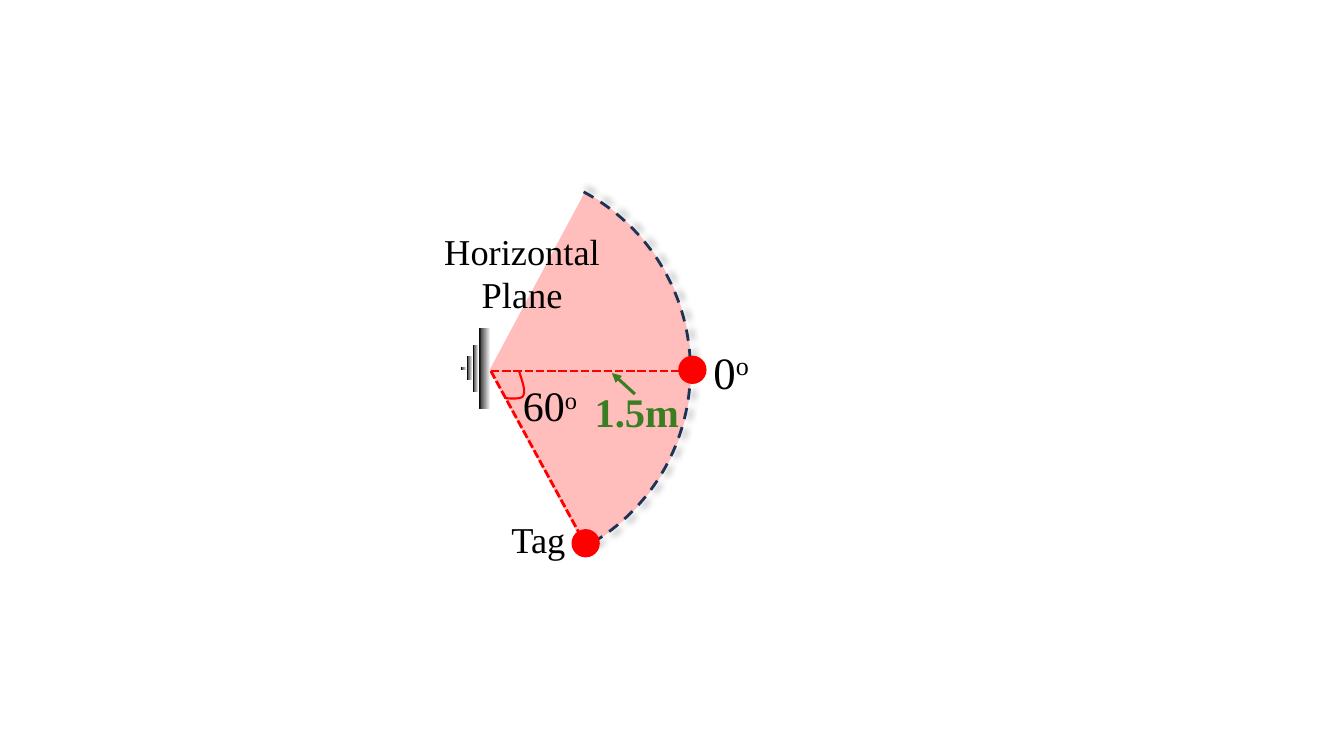
from dataclasses import dataclass

from lxml.etree import SubElement
from pptx import Presentation
from pptx.dml.color import RGBColor
from pptx.enum.dml import MSO_LINE
from pptx.enum.shapes import MSO_CONNECTOR, MSO_SHAPE
from pptx.enum.text import MSO_AUTO_SIZE, PP_ALIGN
from pptx.oxml.ns import qn
from pptx.util import Cm, Pt


@dataclass(frozen=True)
class Theme:
    font: str = "Times New Roman"
    text: str = "000000"
    red: str = "FF0000"
    sector: str = "FF7E79"
    green: str = "3B7D23"
    navy: str = "1E3256"
    metal: tuple = ((0, "FAFAFA"), (74, "595959"), (83, "262626"), (100, "0D0D0D"))
    label_size: int = 26
    distance_size: int = 29
    angle_size: int = 30
    zero_size: int = 32


THEME = Theme()
APEX = (12.37, 9.35)


def add_element(parent, tag, **attributes):
    return SubElement(parent, qn(tag), {name: str(value) for name, value in attributes.items()})


def add_color(parent, color, alpha=100):
    element = add_element(parent, "a:srgbClr", val=color)
    if alpha < 100:
        add_element(element, "a:alpha", val=alpha * 1000)


def set_line(line, color, width, dash=None):
    line.color.rgb = RGBColor.from_string(color)
    line.width = Pt(width)
    if dash is not None:
        line.dash_style = dash


def add_preset(shapes, kind, left, top, width, height):
    shape = shapes.add_shape(kind, Cm(left), Cm(top), Cm(width), Cm(height))
    shape.shadow.inherit = False
    shape.line.fill.background()
    return shape


def set_sweep(shape, start, end):
    """Set start and end in degrees; an adjustment of 0.6 is one degree."""
    shape.adjustments[0] = start * 0.6
    shape.adjustments[1] = end * 0.6


def add_sector(slide):
    sector = add_preset(slide.shapes, MSO_SHAPE.PIE, 7.26, 4.24, 10.16, 10.16)
    set_sweep(sector, 298.2, 61.74)
    sector.fill.solid()
    sector.fill.fore_color.rgb = RGBColor.from_string(THEME.sector)
    color = sector.element.spPr.find(qn("a:solidFill"))[0]
    add_element(color, "a:alpha", val=50000)


def add_arc(slide):
    arc = add_preset(slide.shapes, MSO_SHAPE.ARC, 7.24, 4.24, 10.16, 10.16)
    set_sweep(arc, 298.04, 61.3)
    arc.fill.background()
    set_line(arc.line, THEME.navy, 2, MSO_LINE.DASH)
    effects = arc.element.spPr.find(qn("a:effectLst"))
    shadow = add_element(effects, "a:outerShdw", blurRad=Pt(5), sx=102000, sy=102000,
                         algn="ctr", rotWithShape=0)
    add_color(shadow, "000000", 40)


def add_arrow(slide, start, end, color, width, dash=None):
    points = [Cm(value) for value in (*start, *end)]
    arrow = slide.shapes.add_connector(MSO_CONNECTOR.STRAIGHT, *points)
    set_line(arrow.line, color, width, dash)
    add_element(arrow.line._get_or_add_ln(), "a:tailEnd", type="triangle")
    add_element(arrow.element.spPr, "a:effectLst")


def add_label(slide, box, text, size, superscript="", color=THEME.text,
              bold=False, align=PP_ALIGN.CENTER, spacing=None):
    label = slide.shapes.add_textbox(*[Cm(value) for value in box])
    frame = label.text_frame
    frame.word_wrap = True
    frame.auto_size = MSO_AUTO_SIZE.SHAPE_TO_FIT_TEXT
    paragraph = frame.paragraphs[0]
    paragraph.alignment = align
    paragraph.line_spacing = spacing
    for part, baseline in ((text, 0), (superscript, 30000)):
        if not part:
            continue
        run = paragraph.add_run()
        run.text = part
        run.font.name = THEME.font
        run.font.size = Pt(size)
        run.font.bold = bold
        run.font.color.rgb = RGBColor.from_string(color)
        if baseline:
            run.font._element.set("baseline", str(baseline))


def add_dot(slide, center_x, center_y, diameter=0.66):
    dot = add_preset(slide.shapes, MSO_SHAPE.OVAL, center_x - diameter / 2,
                     center_y - diameter / 2, diameter, diameter)
    dot.fill.solid()
    dot.fill.fore_color.rgb = RGBColor.from_string(THEME.red)
    set_line(dot.line, THEME.red, 1.5)


def add_antenna(slide, left=11.61, middle=9.28, step=0.15):
    antenna = slide.shapes.add_group_shape()
    for index, (width, height) in enumerate(((step, 0.08), (step, 0.61),
                                             (step, 1.19), (2 * step, 2.03))):
        bar = add_preset(antenna.shapes, MSO_SHAPE.ROUNDED_RECTANGLE,
                         left + index * step, middle - height / 2, width, height)
        bar.fill.gradient()
        bar.fill.gradient_angle = 180
        stops = bar.element.spPr.find(qn("a:gradFill")).find(qn("a:gsLst"))
        for stop in list(stops):
            stops.remove(stop)
        for position, color in THEME.metal:
            add_color(add_element(stops, "a:gs", pos=position * 1000), color)


def bezier_points(controls, steps=12):
    for step in range(1, steps + 1):
        t = step / steps
        weights = ((1 - t) ** 3, 3 * t * (1 - t) ** 2, 3 * t * t * (1 - t), t ** 3)
        yield tuple(Cm(sum(weight * point[axis] for weight, point in zip(weights, controls)))
                    for axis in (0, 1))


def add_angle_mark(slide):
    start, corner, end = (13.08, 9.35), (13.18, 9.98), (12.73, 10.03)
    curves = ((start, (13.16, 9.6), (13.26, 9.86), corner),
              (corner, (13.13, 10.08), end, end))
    builder = slide.shapes.build_freeform(Cm(start[0]), Cm(start[1]))
    for curve in curves:
        builder.add_line_segments(bezier_points(curve), close=False)
    mark = builder.convert_to_shape()
    mark.shadow.inherit = False
    mark.fill.background()
    set_line(mark.line, THEME.red, 1.5)


def main():
    presentation = Presentation()
    presentation.slide_width = Cm(33.87)
    presentation.slide_height = Cm(19.05)
    slide = presentation.slides.add_slide(presentation.slide_layouts[6])

    # Sector and the angle in it
    add_sector(slide)
    add_arrow(slide, APEX, (14.78, 13.77), THEME.red, 2, MSO_LINE.SQUARE_DOT)
    add_label(slide, (17.73, 8.56, 1.5, 1.63), "0", THEME.zero_size, "o", align=PP_ALIGN.LEFT)
    add_label(slide, (12.93, 9.45, 2.03, 1.55), "60", THEME.angle_size, "o",
              align=PP_ALIGN.LEFT)
    add_angle_mark(slide)

    # Antenna and the zero-degree line
    add_antenna(slide)
    add_arrow(slide, APEX, (17.5, 9.35), THEME.red, 2, MSO_LINE.SQUARE_DOT)

    # Plane name and distance
    add_label(slide, (10.72, 5.64, 4.88, 2.49), "Horizontal Plane", THEME.label_size)
    add_label(slide, (14.07, 9.96, 3.96, 1.14), "1.5m", THEME.distance_size,
              color=THEME.green, bold=True, spacing=0.7)
    add_arrow(slide, (16, 9.93), (15.42, 9.4), THEME.green, 2.25)

    # Arc with the tag positions
    add_arc(slide)
    add_dot(slide, 17.45, 9.32)
    add_dot(slide, 14.76, 13.69)
    add_label(slide, (11.13, 12.9, 4.88, 1.37), "Tag", THEME.label_size)

    presentation.save("out.pptx")


if __name__ == "__main__":
    main()
